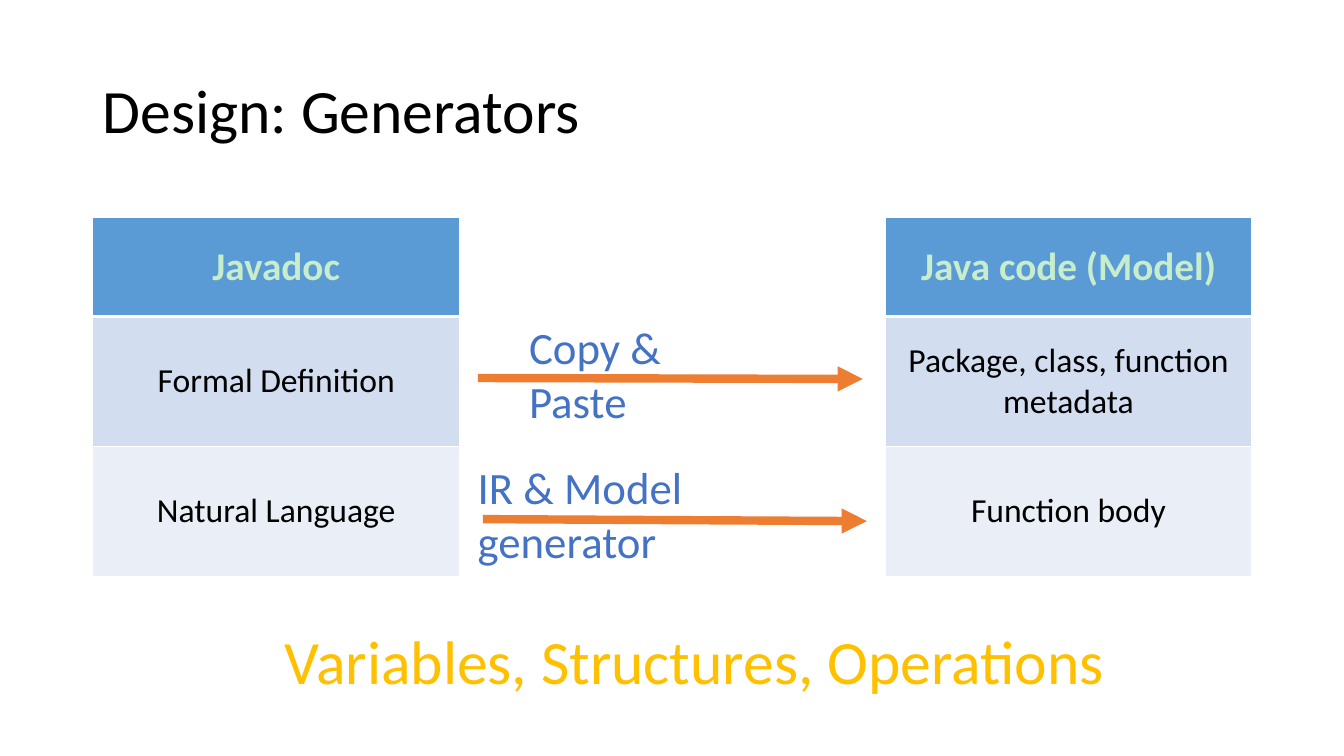
from dataclasses import dataclass

from lxml import etree
from pptx import Presentation
from pptx.dml.color import RGBColor
from pptx.enum.shapes import MSO_CONNECTOR
from pptx.enum.text import MSO_ANCHOR, PP_ALIGN
from pptx.oxml.ns import qn
from pptx.util import Inches, Pt

LEFT, CENTER = PP_ALIGN.LEFT, PP_ALIGN.CENTER
TOP, MIDDLE = MSO_ANCHOR.TOP, MSO_ANCHOR.MIDDLE
STRAIGHT = MSO_CONNECTOR.STRAIGHT

FONT = "Calibri"
COLORS = {
    "page": "FFFFFF",
    "text": "000000",
    "header_text": "C7EDCC",
    "header": "5B9BD5",
    "band_dark": "D2DEEF",
    "band_light": "EAEFF7",
    "arrow": "ED7D31",
    "label": "4472C4",
    "closing": "FFC000",
}

# The page is a grid of 100 columns by 100 rows
PAGE_WIDTH, PAGE_HEIGHT = Inches(13.33), Inches(7.5)
TABLE_TOP, TABLE_WIDTH = 28.8, 27.3
ROW_HEIGHTS = (13.07, 17.2, 17.2)
ROW_FILLS = ("header", "band_dark", "band_light")
THIN, THICK = 1, 3


@dataclass(frozen=True)
class Caption:
    text: str
    left: float
    top: float
    width: float
    height: float
    size: int
    color: str
    align: PP_ALIGN = LEFT
    anchor: MSO_ANCHOR = MIDDLE
    wrap: bool = True
    spacing: float = 1.0


@dataclass(frozen=True)
class Column:
    left: float
    texts: tuple[str, ...]


@dataclass(frozen=True)
class Arrow:
    start: tuple[float, float]
    end: tuple[float, float]
    label: Caption


TITLE = Caption("Design: Generators", 6.9, 5.33, 86.25, 19.33, 44, "text", spacing=0.9)
CLOSING = Caption("Variables, Structures, Operations", 11.7, 81.47, 80, 11.73,
                  44, "closing", CENTER)
COLUMNS = (
    Column(6.9, ("Javadoc", "Formal Definition", "Natural Language")),
    Column(65.85, ("Java code (Model)", "Package, class, function metadata",
                   "Function body")),
)
ARROWS = (
    Arrow((35.56, 50), (64.2, 50.13),
          Caption("Copy & Paste", 38.63, 41.6, 19.28, 8.53, 32, "label",
                  anchor=TOP, wrap=False)),
    Arrow((35.93, 68.67), (64.5, 68.93),
          Caption("IR & Model generator", 34.8, 60.13, 30.4, 8.53, 32, "label",
                  anchor=TOP)),
)


def across(columns: float) -> int:
    return round(PAGE_WIDTH * columns / 100)


def down(rows: float) -> int:
    return round(PAGE_HEIGHT * rows / 100)


def color(name: str) -> RGBColor:
    return RGBColor.from_string(COLORS[name])


def format_text(frame, align: PP_ALIGN, size: int, color_name: str,
                bold: bool = False, spacing: float = 1.0) -> None:
    for para in frame.paragraphs:
        para.alignment = align
        para.line_spacing = spacing
        for span in para.runs:
            span.font.name = FONT
            span.font.size = Pt(size)
            span.font.bold = bold
            span.font.color.rgb = color(color_name)


def add_caption(page, caption: Caption) -> None:
    box = page.shapes.add_textbox(across(caption.left), down(caption.top),
                                  across(caption.width), down(caption.height))
    frame = box.text_frame
    frame.word_wrap = caption.wrap
    frame.vertical_anchor = caption.anchor
    frame.text = caption.text
    format_text(frame, caption.align, caption.size, caption.color,
                spacing=caption.spacing)


def set_borders(cell, top: int, bottom: int) -> None:
    properties = cell._tc.get_or_add_tcPr()
    sides = {"a:lnL": THIN, "a:lnR": THIN, "a:lnT": top, "a:lnB": bottom}
    for position, (side, width) in enumerate(sides.items()):
        line = etree.Element(qn(side), w=str(Pt(width)))
        fill = etree.SubElement(line, qn("a:solidFill"))
        etree.SubElement(fill, qn("a:srgbClr"), val=COLORS["page"])
        properties.insert(position, line)


def add_column(page, column: Column) -> None:
    table = page.shapes.add_table(
        len(column.texts), 1, across(column.left), down(TABLE_TOP),
        across(TABLE_WIDTH), down(sum(ROW_HEIGHTS))).table
    rows = zip(column.texts, ROW_HEIGHTS, ROW_FILLS)
    for index, (text, height, fill) in enumerate(rows):
        is_header = index == 0
        table.rows[index].height = down(height)
        cell = table.cell(index, 0)
        cell.fill.solid()
        cell.fill.fore_color.rgb = color(fill)
        cell.vertical_anchor = MIDDLE
        cell.text_frame.text = text
        format_text(cell.text_frame, CENTER, 28 if is_header else 24,
                    "header_text" if is_header else "text", is_header)
        set_borders(cell, THICK if index == 1 else THIN,
                    THICK if is_header else THIN)


def add_arrow(page, arrow: Arrow) -> None:
    (start_x, start_y), (end_x, end_y) = arrow.start, arrow.end
    connector = page.shapes.add_connector(
        STRAIGHT, across(start_x), down(start_y), across(end_x), down(end_y))
    connector.line.color.rgb = color("arrow")
    connector.line.width = Pt(6)
    etree.SubElement(connector.line._get_or_add_ln(), qn("a:tailEnd"), type="triangle")
    etree.SubElement(connector._element.spPr, qn("a:effectLst"))
    add_caption(page, arrow.label)


def main() -> None:
    deck = Presentation()
    deck.slide_width, deck.slide_height = PAGE_WIDTH, PAGE_HEIGHT
    page = deck.slides.add_slide(deck.slide_layouts[6])
    page.background.fill.solid()
    page.background.fill.fore_color.rgb = color("page")

    # Title
    add_caption(page, TITLE)

    # Source and target tables
    for column in COLUMNS:
        add_column(page, column)

    # Generators between the tables
    for arrow in ARROWS:
        add_arrow(page, arrow)

    # Closing line
    add_caption(page, CLOSING)

    deck.save("out.pptx")


if __name__ == "__main__":
    main()
